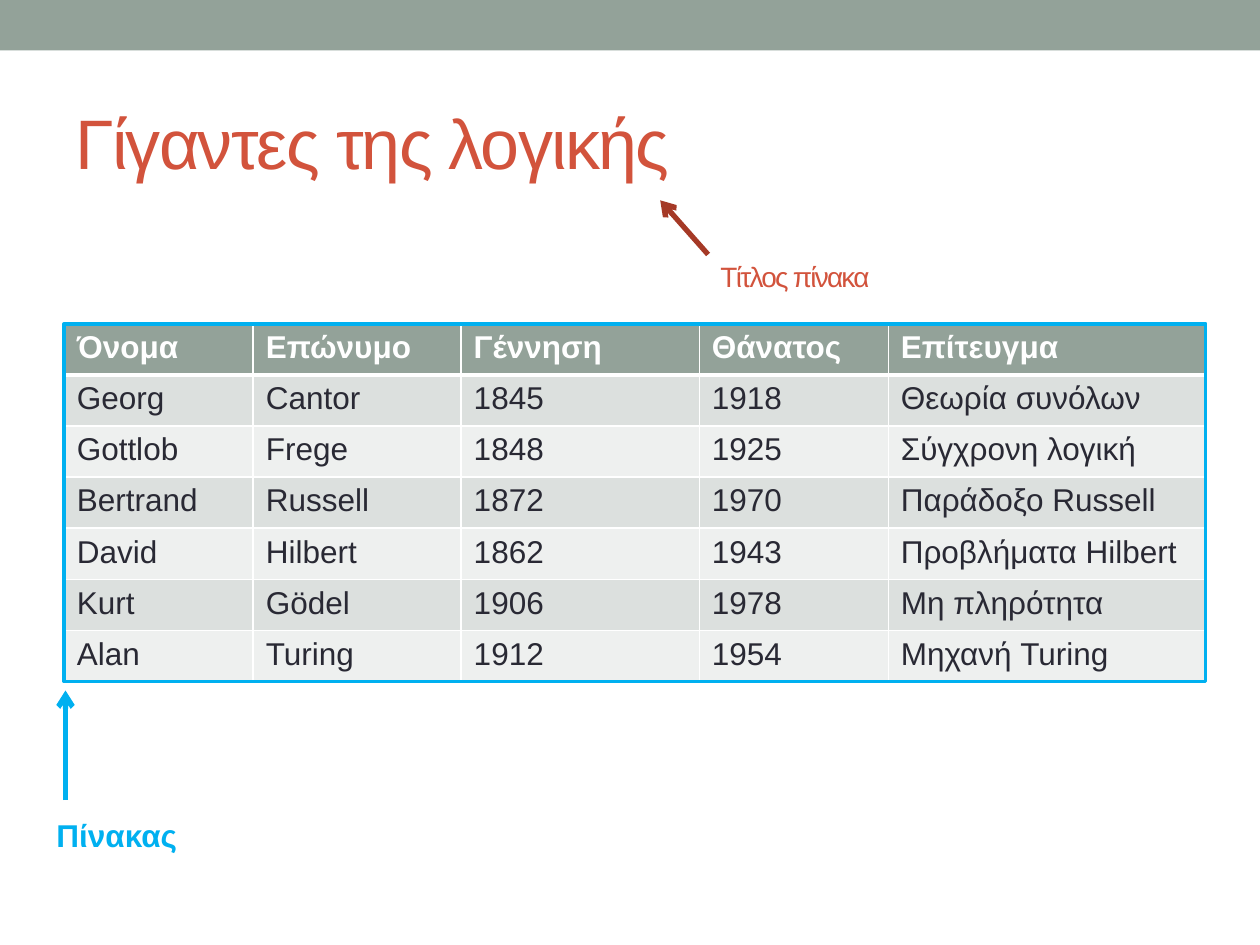
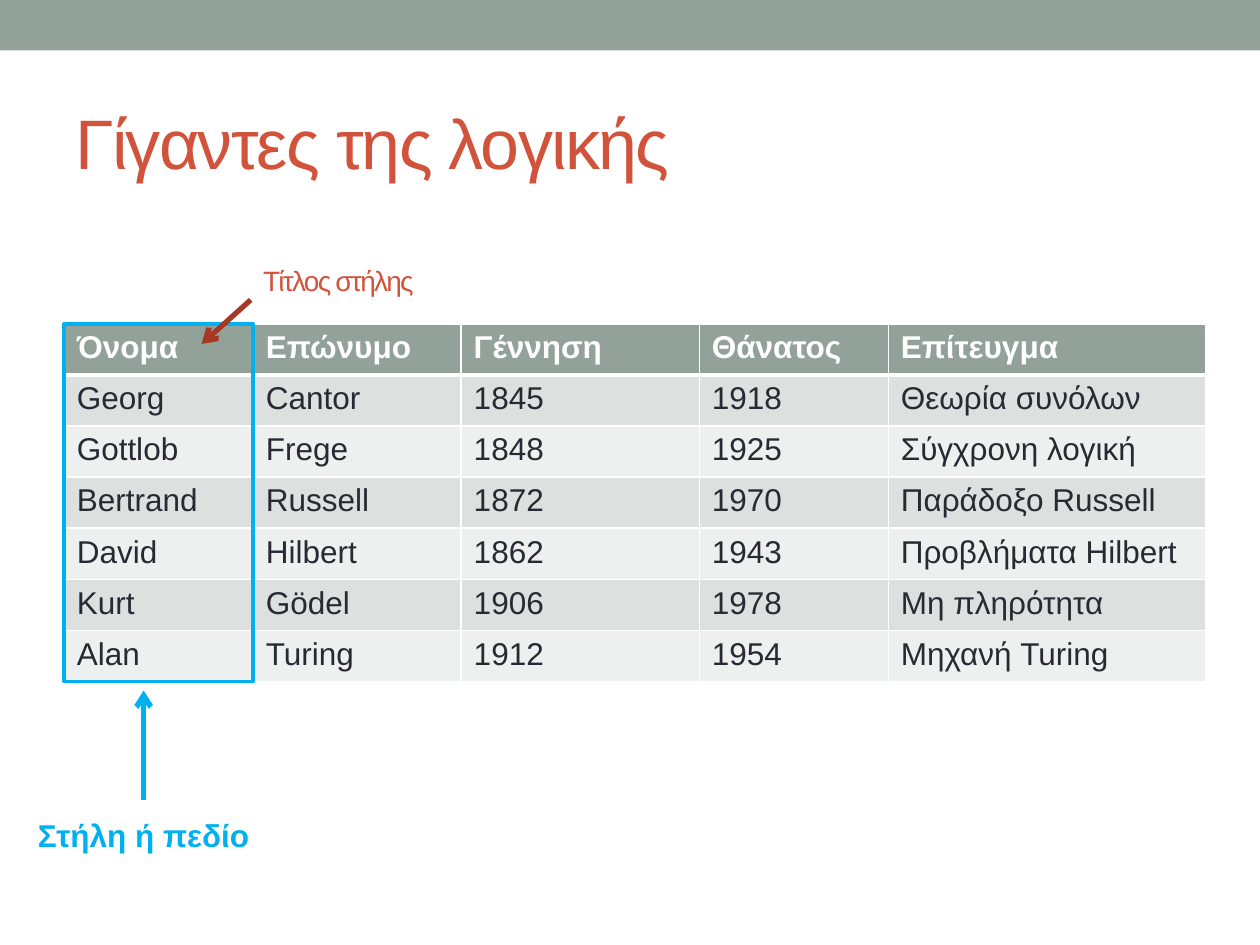
from lxml.etree import SubElement
from pptx import Presentation
from pptx.dml.color import RGBColor
from pptx.enum.shapes import MSO_CONNECTOR, MSO_SHAPE
from pptx.enum.text import MSO_ANCHOR, PP_ALIGN
from pptx.oxml.ns import qn
from pptx.util import Inches, Pt

COLORS = {
    "band": "93A299", "title": "D2533C", "title_arrow": "A53926",
    "highlight": "00B0F0", "body": "292934", "white": "FFFFFF",
    "odd_row": "DCE0DE", "even_row": "EEF0EF",
}
FONT = "Arial"
TITLE = "Γίγαντες της λογικής"
LOGICIANS = [
    ("Όνομα", "Επώνυμο", "Γέννηση", "Θάνατος", "Επίτευγμα"),
    ("Georg", "Cantor", "1845", "1918", "Θεωρία συνόλων"),
    ("Gottlob", "Frege", "1848", "1925", "Σύγχρονη λογική"),
    ("Bertrand", "Russell", "1872", "1970", "Παράδοξο Russell"),
    ("David", "Hilbert", "1862", "1943", "Προβλήματα Hilbert"),
    ("Kurt", "Gödel", "1906", "1978", "Μη πληρότητα"),
    ("Alan", "Turing", "1912", "1954", "Μηχανή Turing"),
]
COLUMN_WIDTHS = [1.5, 1.65, 1.89, 1.5, 2.52]
TABLE_LEFT, TABLE_TOP, TABLE_HEIGHT = 0.51, 2.57, 2.84
SLIDES = [
    {
        "framed_columns": 5,
        "part": ("Πίνακας", (0.35, 6.43, 4.57, 0.4), PP_ALIGN.LEFT),
        "part_arrow_x": 0.52,
        "heading": ("Τίτλος πίνακα", (5.62, 2.01, 1.5, 0.37)),
        "heading_arrow": ((5.62, 2.02), (5.24, 1.59)),
    },
    {
        "framed_columns": 1,
        "part": ("Στήλη ή πεδίο", (0, 6.43, 2.28, 0.4), PP_ALIGN.CENTER),
        "part_arrow_x": 1.14,
        "heading": ("Τίτλος στήλης", (1.99, 2.04, 1.5, 0.37)),
        "heading_arrow": ((1.99, 2.38), (1.6, 2.73)),
    },
]


def rgb(color):
    return RGBColor.from_string(COLORS[color])


def inches(lengths):
    return [Inches(length) for length in lengths]


def style_text(frame, size, color, bold=False, spacing=None):
    for run in frame.paragraphs[0].runs:
        run.font.name = FONT
        run.font.size = Pt(size)
        run.font.bold = bold
        run.font.color.rgb = rgb(color)
        if spacing is not None:
            run.font._element.set("spc", str(spacing * 100))


def add_text(slide, text, place, size, color, bold=False, spacing=None,
             align=PP_ALIGN.LEFT, anchor=MSO_ANCHOR.TOP):
    frame = slide.shapes.add_textbox(*inches(place)).text_frame
    frame.word_wrap = True
    frame.vertical_anchor = anchor
    frame.text = text
    frame.paragraphs[0].alignment = align
    style_text(frame, size, color, bold, spacing)


def add_rectangle(slide, place, fill=None, line=None):
    rectangle = slide.shapes.add_shape(MSO_SHAPE.RECTANGLE, *inches(place))
    rectangle.shadow.inherit = False
    if fill:
        rectangle.fill.solid()
        rectangle.fill.fore_color.rgb = rgb(fill)
    else:
        rectangle.fill.background()
    if line:
        rectangle.line.color.rgb = rgb(line)
        rectangle.line.width = Pt(2.08)
    else:
        rectangle.line.fill.background()


def add_arrow(slide, start, end, color):
    arrow = slide.shapes.add_connector(
        MSO_CONNECTOR.STRAIGHT, *inches(start + end))
    arrow.line.color.rgb = rgb(color)
    arrow.line.width = Pt(3)
    SubElement(arrow.line._get_or_add_ln(), qn("a:tailEnd"), type="arrow")
    SubElement(arrow._element.spPr, qn("a:effectLst"))


def set_borders(cell, top, bottom):
    properties = cell._tc.get_or_add_tcPr()
    for side, width in (("L", 1), ("R", 1), ("T", top), ("B", bottom)):
        border = SubElement(properties, qn(f"a:ln{side}"), w=str(Pt(width)))
        fill = SubElement(border, qn("a:solidFill"))
        SubElement(fill, qn("a:srgbClr"), val=COLORS["white"])


def add_logicians(slide):
    table = slide.shapes.add_table(
        len(LOGICIANS), len(COLUMN_WIDTHS),
        *inches((TABLE_LEFT, TABLE_TOP, sum(COLUMN_WIDTHS), TABLE_HEIGHT))).table
    for column, width in zip(table.columns, COLUMN_WIDTHS):
        column.width = Inches(width)
    for r, entries in enumerate(LOGICIANS):
        table.rows[r].height = Inches(TABLE_HEIGHT / len(LOGICIANS))
        header = r == 0
        fill = "band" if header else "odd_row" if r % 2 else "even_row"
        for c, entry in enumerate(entries):
            cell = table.cell(r, c)
            set_borders(cell, top=3 if r == 1 else 1, bottom=3 if header else 1)
            cell.fill.solid()
            cell.fill.fore_color.rgb = rgb(fill)
            cell.text_frame.text = entry
            style_text(cell.text_frame, 18, "white" if header else "body", header)


def add_slide(deck, content):
    slide = deck.slides.add_slide(deck.slide_layouts[6])
    add_rectangle(slide, (0, 0, 10, 0.4), fill="band")
    add_logicians(slide)
    add_text(slide, TITLE, (0.5, 0.58, 9, 1.08), 40, "title", spacing=-1,
             anchor=MSO_ANCHOR.MIDDLE)
    frame_width = sum(COLUMN_WIDTHS[:content["framed_columns"]])
    add_rectangle(slide, (TABLE_LEFT, TABLE_TOP, frame_width, TABLE_HEIGHT),
                  line="highlight")
    x = content["part_arrow_x"]
    add_arrow(slide, (x, 6.35), (x, 5.48), "highlight")
    part, place, align = content["part"]
    add_text(slide, part, place, 18, "highlight", bold=True, align=align)
    add_arrow(slide, *content["heading_arrow"], "title_arrow")
    heading, place = content["heading"]
    add_text(slide, heading, place, 16, "title", spacing=-1)


deck = Presentation()
deck.slide_width, deck.slide_height = Inches(10), Inches(7.5)
for content in SLIDES:
    add_slide(deck, content)
deck.save("out.pptx")
